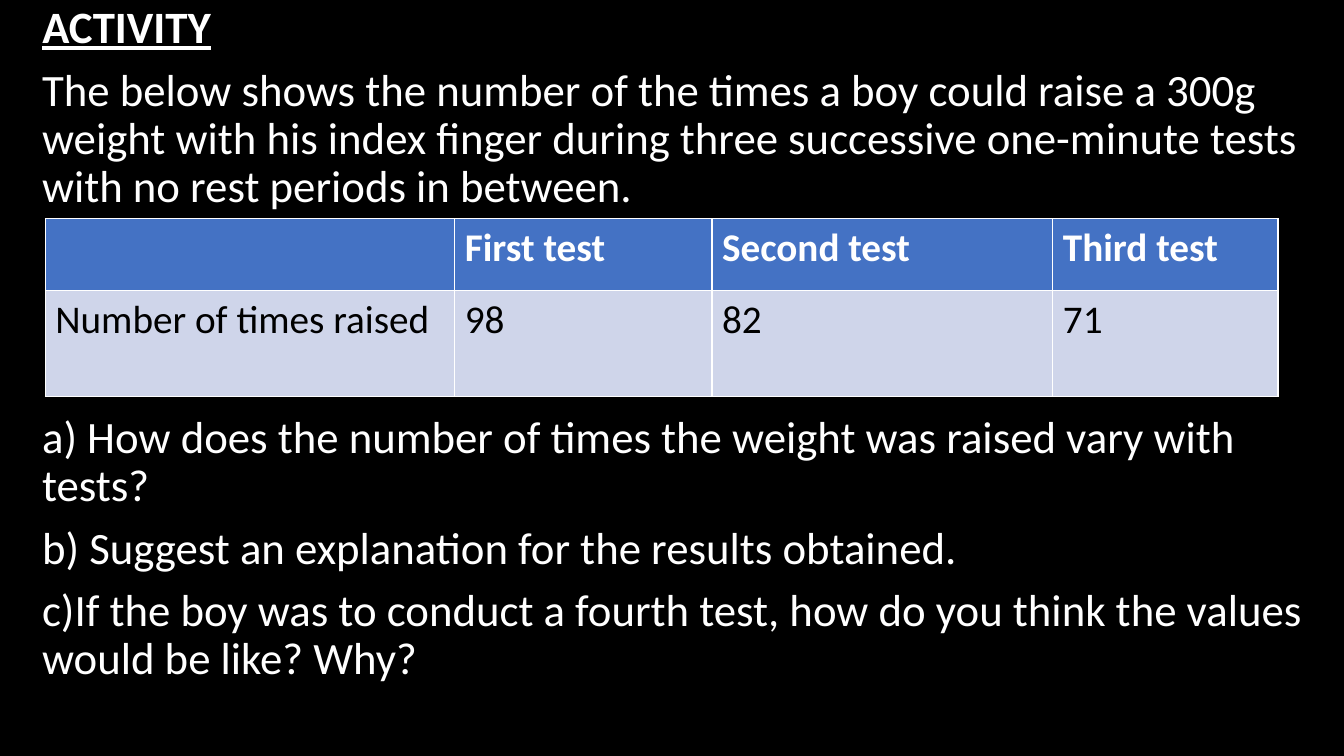
"""Build the finger-exercise activity slide with its results table."""
from dataclasses import dataclass
from typing import Any

import pptx
import pptx.dml.color
import pptx.enum.text
import pptx.util

Pt = pptx.util.Pt
RGBColor = pptx.dml.color.RGBColor

BLACK = RGBColor(0x00, 0x00, 0x00)
WHITE = RGBColor(0xFF, 0xFF, 0xFF)
HEADER_BLUE = RGBColor(0x44, 0x72, 0xC4)
BODY_BLUE = RGBColor(0xCF, 0xD5, 0xEA)

TEXT_LEFT, TEXT_WIDTH = 23, 921.6
BODY_FONT = {"name": "Calibri", "size": Pt(32), "bold": False}
HEADING_FONT = BODY_FONT | {"bold": True, "underline": True}
CELL_FONT = BODY_FONT | {"size": Pt(28)}
FRAME_FORMAT = {
    "word_wrap": True,
    "auto_size": pptx.enum.text.MSO_AUTO_SIZE.NONE,
    "vertical_anchor": pptx.enum.text.MSO_ANCHOR.TOP,
}
PARAGRAPH_FORMAT = {
    "alignment": pptx.enum.text.PP_ALIGN.LEFT,
    "line_spacing": 0.9,
    "space_before": Pt(0),
}


@dataclass(frozen=True)
class TextBlock:
    top: float
    height: float
    paragraphs: tuple[str, ...]


@dataclass(frozen=True)
class TableRow:
    height: float
    fill: RGBColor
    color: RGBColor
    bold: bool
    cells: tuple[str, ...]


HEADING = TextBlock(0, 44, ("ACTIVITY",))
BODY_BLOCKS = (
    TextBlock(44.6, 111, (
        "The below shows the number of the times a boy could raise a 300g weight with his "
        "index finger during three successive one-minute tests with no rest periods in between.",
    )),
    TextBlock(292.5, 238, (
        "a) How does the number of times the weight was raised vary with tests?",
        "b) Suggest an explanation for the results obtained.",
        "c)If the boy was to conduct a fourth test, how do you think the values would be "
        "like? Why?",
    )),
)

TABLE_LEFT, TABLE_TOP = 32.4, 156.2
COLUMN_WIDTHS = (292.5, 183.7, 243.5, 160.8)
TABLE_ROWS = (
    TableRow(51.5, HEADER_BLUE, WHITE, True, ("", "First test", "Second test", "Third test")),
    TableRow(75.5, BODY_BLUE, BLACK, False, ("Number of times raised", "98", "82", "71")),
)


def apply_format(target: Any, values: dict[str, Any]) -> None:
    for name, value in values.items():
        setattr(target, name, value)


def format_font(para: Any, values: dict[str, Any], color: RGBColor) -> None:
    for span in para.runs:
        apply_format(span.font, values)
        span.font.color.rgb = color


def fill_text(box: Any, block: TextBlock, font: dict[str, Any]) -> None:
    apply_format(box, {
        "left": Pt(TEXT_LEFT), "top": Pt(block.top),
        "width": Pt(TEXT_WIDTH), "height": Pt(block.height),
    })
    frame = box.text_frame
    frame.text = "\n".join(block.paragraphs)
    apply_format(frame, FRAME_FORMAT)
    for index, para in enumerate(frame.paragraphs):
        apply_format(para, PARAGRAPH_FORMAT)
        if index:
            para.space_before = Pt(10)
        format_font(para, font, WHITE)


def add_results_table(page: Any) -> None:
    table = page.shapes.add_table(
        len(TABLE_ROWS), len(COLUMN_WIDTHS), Pt(TABLE_LEFT), Pt(TABLE_TOP),
        Pt(sum(COLUMN_WIDTHS)), Pt(sum(row.height for row in TABLE_ROWS)),
    ).table
    for column, width in zip(table.columns, COLUMN_WIDTHS):
        column.width = Pt(width)
    for row, content in zip(table.rows, TABLE_ROWS):
        row.height = Pt(content.height)
        for cell, text in zip(row.cells, content.cells):
            cell.text = text
            cell.fill.solid()
            cell.fill.fore_color.rgb = content.fill
            format_font(cell.text_frame.paragraphs[0],
                        CELL_FONT | {"bold": content.bold}, content.color)


def main() -> None:
    deck = pptx.Presentation()
    deck.slide_width, deck.slide_height = Pt(960), Pt(540)
    page = deck.slides.add_slide(deck.slide_layouts.get_by_name("Title Only"))
    page.background.fill.solid()
    page.background.fill.fore_color.rgb = BLACK
    fill_text(page.shapes.title, HEADING, HEADING_FONT)
    for block in BODY_BLOCKS:
        fill_text(page.shapes.add_textbox(0, 0, 0, 0), block, BODY_FONT)
    add_results_table(page)
    deck.save("out.pptx")


if __name__ == "__main__":
    main()
